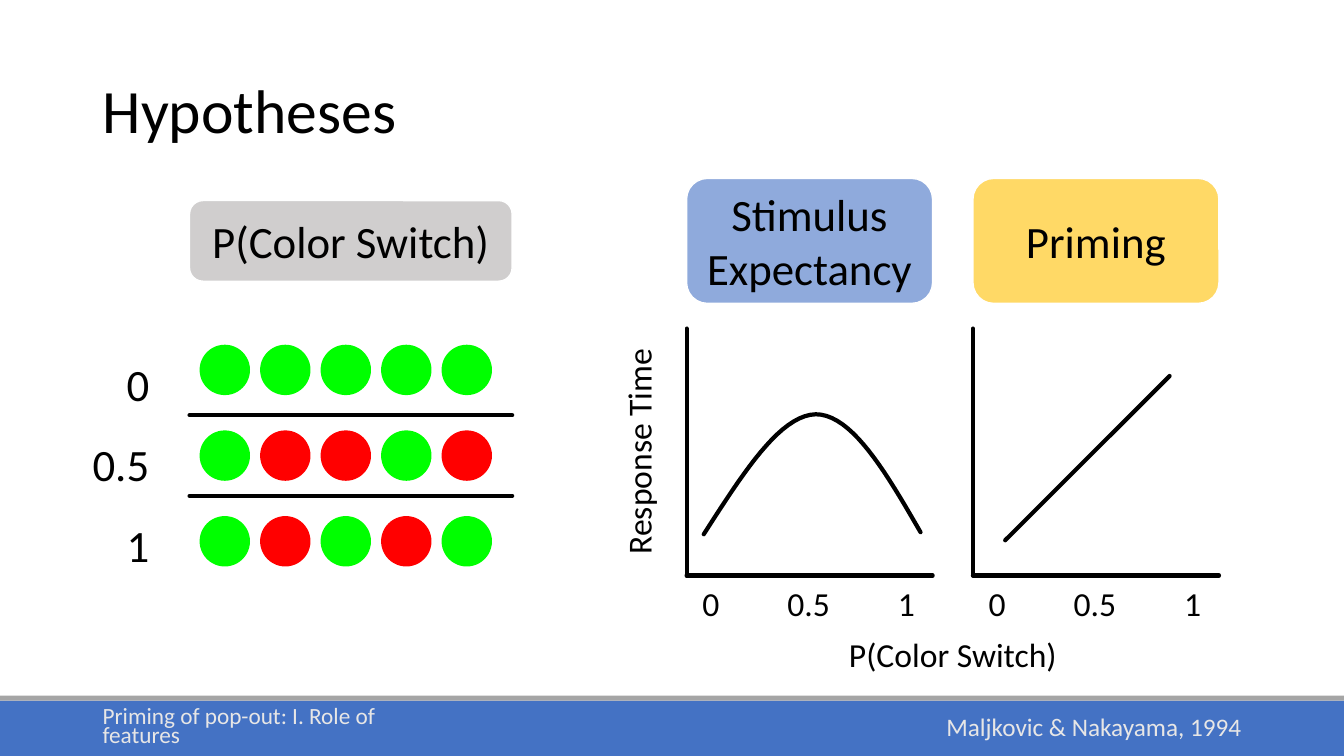
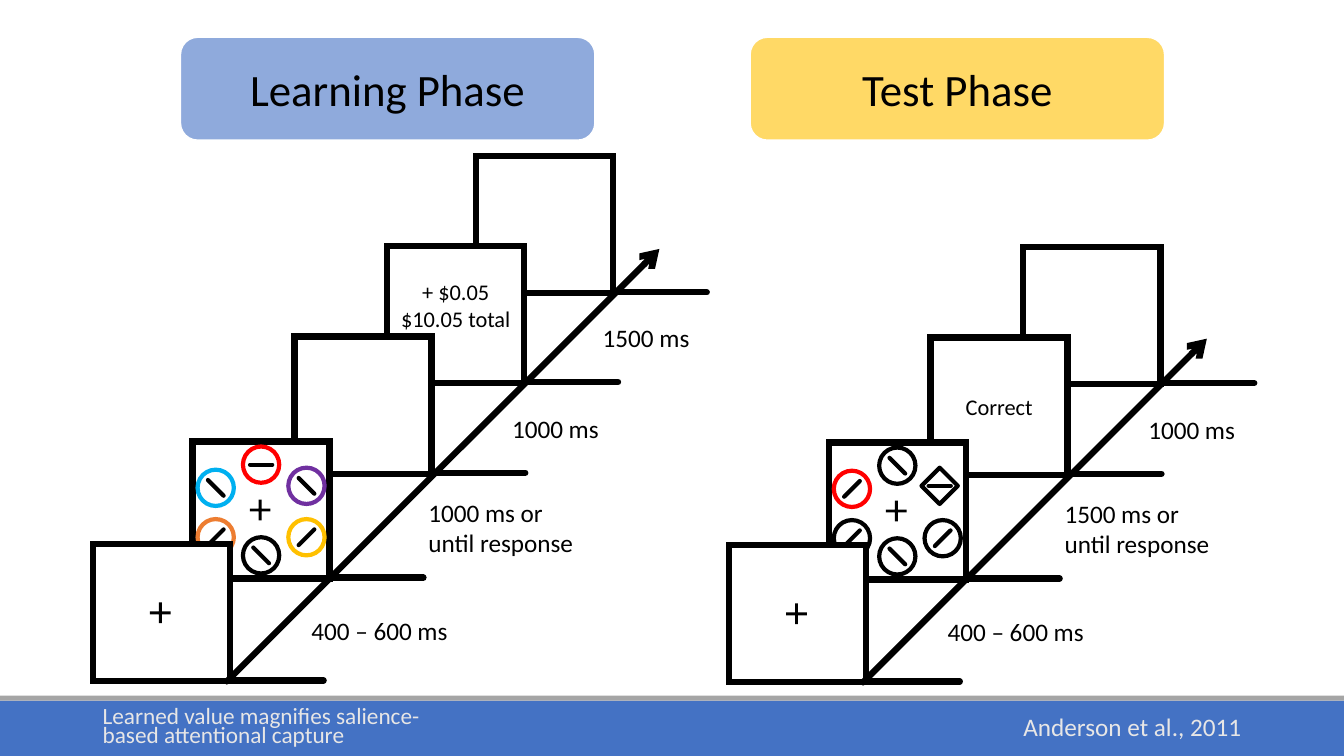
from dataclasses import dataclass
from math import cos, radians, sin

from lxml.etree import SubElement
from pptx import Presentation
from pptx.dml.color import RGBColor
from pptx.enum.shapes import MSO_CONNECTOR, MSO_SHAPE
from pptx.enum.text import MSO_ANCHOR, PP_ALIGN
from pptx.oxml.ns import qn
from pptx.shapes.autoshape import Shape
from pptx.slide import Slide
from pptx.util import Inches, Pt

Point = tuple[float, float]
Box = tuple[float, float, float, float]

FONT = "Calibri"
BLACK = RGBColor(0x00, 0x00, 0x00)
WHITE = RGBColor(0xFF, 0xFF, 0xFF)
BAND_BLUE = RGBColor(0x44, 0x72, 0xC4)
BAND_GRAY = RGBColor(0xA5, 0xA5, 0xA5)
FOOTER_GRAY = RGBColor(0xE7, 0xE6, 0xE6)
LIGHT_BLUE = RGBColor(0x8F, 0xAA, 0xDC)
LIGHT_GOLD = RGBColor(0xFF, 0xD9, 0x66)
LIGHT_GRAY = RGBColor(0xD0, 0xCE, 0xCE)
GREEN = RGBColor(0x00, 0xFF, 0x00)
RED = RGBColor(0xFF, 0x00, 0x00)
PURPLE = RGBColor(0x70, 0x30, 0xA0)
CYAN = RGBColor(0x00, 0xB0, 0xF0)
ORANGE = RGBColor(0xED, 0x7D, 0x31)
GOLD = RGBColor(0xFF, 0xC0, 0x00)


@dataclass(frozen=True)
class Panel:
    left: float
    heading: str
    color: RGBColor


@dataclass(frozen=True)
class Stimulus:
    offset: Point
    color: RGBColor
    tilt: float
    outline: MSO_SHAPE = MSO_SHAPE.OVAL


@dataclass(frozen=True)
class Duration:
    text: str
    offset: Point
    width: float
    height: float = 0.4


@dataclass(frozen=True)
class Phase:
    heading: str
    heading_left: float
    color: RGBColor
    origin: Point
    arrow_reach: float
    screens: list[str]
    feedback_top: float
    stimuli: list[Stimulus]
    durations: list[Duration]


# Shared drawing functions
def write(shape: Shape, text: str, size: float, align: PP_ALIGN = PP_ALIGN.LEFT,
          anchor: MSO_ANCHOR = MSO_ANCHOR.TOP, color: RGBColor = BLACK,
          spacing: float = 1.0) -> None:
    frame = shape.text_frame
    frame.word_wrap = True
    frame.vertical_anchor = anchor
    frame.text = text
    for paragraph in frame.paragraphs:
        paragraph.alignment = align
        paragraph.line_spacing = spacing
        paragraph.font.name = FONT
        paragraph.font.size = Pt(size)
        paragraph.font.color.rgb = color


def add_text(slide: Slide, box: Box, text: str, size: float,
             align: PP_ALIGN = PP_ALIGN.LEFT, anchor: MSO_ANCHOR = MSO_ANCHOR.TOP,
             color: RGBColor = BLACK, spacing: float = 1.0) -> Shape:
    label = slide.shapes.add_textbox(*map(Inches, box))
    write(label, text, size, align, anchor, color, spacing)
    return label


def add_shape(slide: Slide, kind: MSO_SHAPE, box: Box, fill: RGBColor,
              line: RGBColor | None = None, width: float = 1) -> Shape:
    shape = slide.shapes.add_shape(kind, *map(Inches, box))
    shape.shadow.inherit = False
    shape.fill.solid()
    shape.fill.fore_color.rgb = fill
    if line is None:
        shape.line.fill.background()
    else:
        shape.line.color.rgb = line
        shape.line.width = Pt(width)
    return shape


def add_line(slide: Slide, start: Point, end: Point, width: float = 3,
             arrow: bool = False) -> None:
    line = slide.shapes.add_connector(MSO_CONNECTOR.STRAIGHT,
                                      *map(Inches, (*start, *end)))
    line.line.color.rgb = BLACK
    line.line.width = Pt(width)
    stroke = line.line._get_or_add_ln()
    stroke.set("cap", "rnd")
    if arrow:
        SubElement(stroke, qn("a:tailEnd"), type="arrow")
    SubElement(line._element.spPr, qn("a:effectLst"))


def add_heading(slide: Slide, box: Box, text: str, color: RGBColor) -> None:
    heading = add_shape(slide, MSO_SHAPE.ROUNDED_RECTANGLE, box, color, WHITE)
    write(heading, text, 32, PP_ALIGN.CENTER, MSO_ANCHOR.MIDDLE)


def add_footer(slide: Slide, paper: str, citation: str) -> None:
    add_shape(slide, MSO_SHAPE.RECTANGLE, (0, 6.95, 13.33, 0.55), BAND_BLUE)
    add_shape(slide, MSO_SHAPE.RECTANGLE, (0, 6.9, 13.33, 0.05), BAND_GRAY)
    add_text(slide, (8.83, 6.95, 3.58, 0.55), citation, 18, PP_ALIGN.RIGHT,
             MSO_ANCHOR.MIDDLE, FOOTER_GRAY, 0.9)
    add_text(slide, (0.92, 6.95, 3.58, 0.55), paper, 16.6, PP_ALIGN.LEFT,
             MSO_ANCHOR.MIDDLE, FOOTER_GRAY, 0.7)


# Hypotheses slide
AXIS_TOP, AXIS_BOTTOM, AXIS_LENGTH = 3.26, 5.71, 2.44
SEQUENCES = ["GGGGG", "GRRGR", "GRGRG"]
PANELS = [Panel(6.81, "Stimulus Expectancy", LIGHT_BLUE),
          Panel(9.65, "Priming", LIGHT_GOLD)]
EXPECTANCY_CURVE = [
    [(6.98, 5.3), (7.36, 4.71), (7.73, 4.12), (8.09, 4.11)],
    [(8.09, 4.11), (8.45, 4.11), (8.79, 4.69), (9.13, 5.28)],
]


def bezier_point(controls: list[Point], t: float) -> Point:
    weights = ((1 - t) ** 3, 3 * t * (1 - t) ** 2, 3 * t ** 2 * (1 - t), t ** 3)
    x, y = (sum(w * c[axis] for w, c in zip(weights, controls)) for axis in (0, 1))
    return Inches(x), Inches(y)


def add_curve(slide: Slide, pieces: list[list[Point]], steps: int = 20) -> None:
    points = [bezier_point(piece, i / steps)
              for piece in pieces for i in range(1, steps + 1)]
    builder = slide.shapes.build_freeform(*bezier_point(pieces[0], 0))
    builder.add_line_segments(points, close=False)
    curve = builder.convert_to_shape()
    curve.shadow.inherit = False
    curve.fill.background()
    curve.line.color.rgb = BLACK
    curve.line.width = Pt(3)
    curve.line._get_or_add_ln().set("cap", "rnd")


def add_panel(slide: Slide, panel: Panel) -> None:
    add_heading(slide, (panel.left, 1.77, AXIS_LENGTH, 1.24), panel.heading, panel.color)
    corner = (panel.left, AXIS_BOTTOM)
    add_line(slide, (panel.left, AXIS_TOP), corner)
    add_line(slide, corner, (panel.left + AXIS_LENGTH, AXIS_BOTTOM))
    for i, tick in enumerate(["0", "0.5", "1"]):
        add_text(slide, (panel.left - 0.11 + 0.97 * i, 5.73, 0.7, 0.5), tick, 24,
                 PP_ALIGN.CENTER)


def build_hypotheses(slide: Slide) -> None:
    add_footer(slide, "Priming of pop-out: I. Role of features",
               "Maljkovic & Nakayama, 1994")
    add_text(slide, (0.92, 0.4, 11.5, 1.45), "Hypotheses", 44,
             anchor=MSO_ANCHOR.MIDDLE, spacing=0.9)

    # Example sequences for each switch probability
    add_heading(slide, (1.88, 1.99, 3.2, 0.8), "P(Color Switch)", LIGHT_GRAY)
    add_text(slide, (0.55, 3.22, 1.03, 2.44), "0\n0.5\n1", 32, PP_ALIGN.RIGHT,
             spacing=1.5)
    for row, sequence in enumerate(SEQUENCES):
        for column, letter in enumerate(sequence):
            dot = (1.98 + 0.6 * column, 3.42 + 0.85 * row, 0.5, 0.5)
            add_shape(slide, MSO_SHAPE.OVAL, dot, GREEN if letter == "G" else RED)
    for divider in (4.12, 4.92):
        add_line(slide, (1.88, divider), (5.08, divider))

    # Predicted response times
    for panel in PANELS:
        add_panel(slide, panel)
    add_curve(slide, EXPECTANCY_CURVE)
    add_line(slide, (9.97, 5.36), (11.6, 3.73))
    add_text(slide, (6.81, 6.24, 5.28, 0.5), "P(Color Switch)", 24, PP_ALIGN.CENTER)
    response_time = add_text(slide, (6.08, 3.26, 0.61, 2.44), "Response Time", 24,
                             PP_ALIGN.CENTER)
    response_time._element.txBody.bodyPr.set("vert", "vert270")


# Trial phases slide
SCREEN = 1.36
SCREEN_OFFSETS = [(0, 0), (0.99, -1.02), (2, -2.06), (2.92, -2.96), (3.8, -3.85)]
FIXATION, ARRAY = 0, 1
ITEM, BAR, PLUS = 0.36, 0.22, 0.28
TOP, BOTTOM = (0.5, 0.05), (0.5, 0.95)
UPPER_LEFT, UPPER_RIGHT = (0.05, 0.28), (0.95, 0.26)
LOWER_LEFT, LOWER_RIGHT = (0.05, 0.77), (0.95, 0.77)

PHASES = [
    Phase("Learning Phase", 1.79, LIGHT_BLUE, (0.92, 5.4), 4.29,
          ["", "", "", "+ $0.05\n$10.05 total", ""], 0.32,
          [Stimulus(TOP, RED, 0), Stimulus(UPPER_RIGHT, PURPLE, 45),
           Stimulus(UPPER_LEFT, CYAN, 45), Stimulus(LOWER_LEFT, ORANGE, -45),
           Stimulus(LOWER_RIGHT, GOLD, -45), Stimulus(BOTTOM, BLACK, 45)],
          [Duration("400 – 600 ms", (2.07, 0.66), 1.57),
           Duration("1000 ms or until response", (3.23, -0.52), 1.75, 0.71),
           Duration("1000 ms", (4.06, -1.35), 1.11),
           Duration("1500 ms", (4.96, -2.25), 1.2)]),
    Phase("Test Phase", 7.44, LIGHT_GOLD, (7.23, 5.41), 3.41,
          ["", "", "Correct", ""], 0.55,
          [Stimulus(UPPER_LEFT, RED, -45),
           Stimulus((0.92, 0.25), BLACK, 0, MSO_SHAPE.DIAMOND),
           Stimulus(TOP, BLACK, 45), Stimulus(LOWER_LEFT, BLACK, -45),
           Stimulus(LOWER_RIGHT, BLACK, -45), Stimulus(BOTTOM, BLACK, 45)],
          [Duration("400 – 600 ms", (2.07, 0.66), 1.57),
           Duration("1500 ms or until response", (3.23, -0.52), 1.75, 0.71),
           Duration("1000 ms", (4.06, -1.35), 1.11)]),
]


def shift(point: Point, offset: Point) -> Point:
    return point[0] + offset[0], point[1] + offset[1]


def add_stimulus(slide: Slide, corner: Point, stimulus: Stimulus) -> None:
    left, top = shift(corner, stimulus.offset)
    add_shape(slide, stimulus.outline, (left, top, ITEM, ITEM), WHITE, stimulus.color, 3)
    center = (left + ITEM / 2, top + ITEM / 2)
    dx = BAR / 2 * cos(radians(stimulus.tilt))
    dy = BAR / 2 * sin(radians(stimulus.tilt))
    add_line(slide, shift(center, (-dx, -dy)), shift(center, (dx, dy)))


def add_screen(slide: Slide, phase: Phase, index: int) -> None:
    corner = shift(phase.origin, SCREEN_OFFSETS[index])
    screen = add_shape(slide, MSO_SHAPE.RECTANGLE, (*corner, SCREEN, SCREEN),
                       WHITE, BLACK, 4.5)
    SubElement(screen.line._get_or_add_ln(), qn("a:miter"), lim="800000")
    if phase.screens[index]:
        write(screen, phase.screens[index], 16, PP_ALIGN.CENTER)
        screen.text_frame.margin_top = Inches(phase.feedback_top)
    if index == ARRAY:
        for stimulus in phase.stimuli:
            add_stimulus(slide, corner, stimulus)
    if index in (FIXATION, ARRAY):
        plus = add_shape(slide, MSO_SHAPE.MATH_PLUS,
                         (*shift(corner, (0.53, 0.54)), PLUS, PLUS), BLACK)
        plus.adjustments[0] = 0.103
    floor = shift(corner, (SCREEN, 1.35))
    add_line(slide, floor, shift(floor, (0.93, 0)), 4.5)


def add_phase(slide: Slide, phase: Phase) -> None:
    add_heading(slide, (phase.heading_left, 0.37, 4.11, 1.02), phase.heading, phase.color)
    for index in reversed(range(len(phase.screens))):
        add_screen(slide, phase, index)
    start = shift(phase.origin, (1.33, SCREEN))
    add_line(slide, start, shift(start, (phase.arrow_reach, -phase.arrow_reach)), 4.5,
             arrow=True)
    for duration in phase.durations:
        box = (*shift(phase.origin, duration.offset), duration.width, duration.height)
        add_text(slide, box, duration.text, 18)


def build_phases(slide: Slide) -> None:
    add_footer(slide, "Learned value magnifies salience-based attentional capture",
               "Anderson et al., 2011")
    for phase in PHASES:
        add_phase(slide, phase)


# Presentation
presentation = Presentation()
presentation.slide_width = Inches(13.33)
presentation.slide_height = Inches(7.5)
blank = presentation.slide_layouts[6]
for build in (build_hypotheses, build_phases):
    build(presentation.slides.add_slide(blank))
presentation.save("out.pptx")
